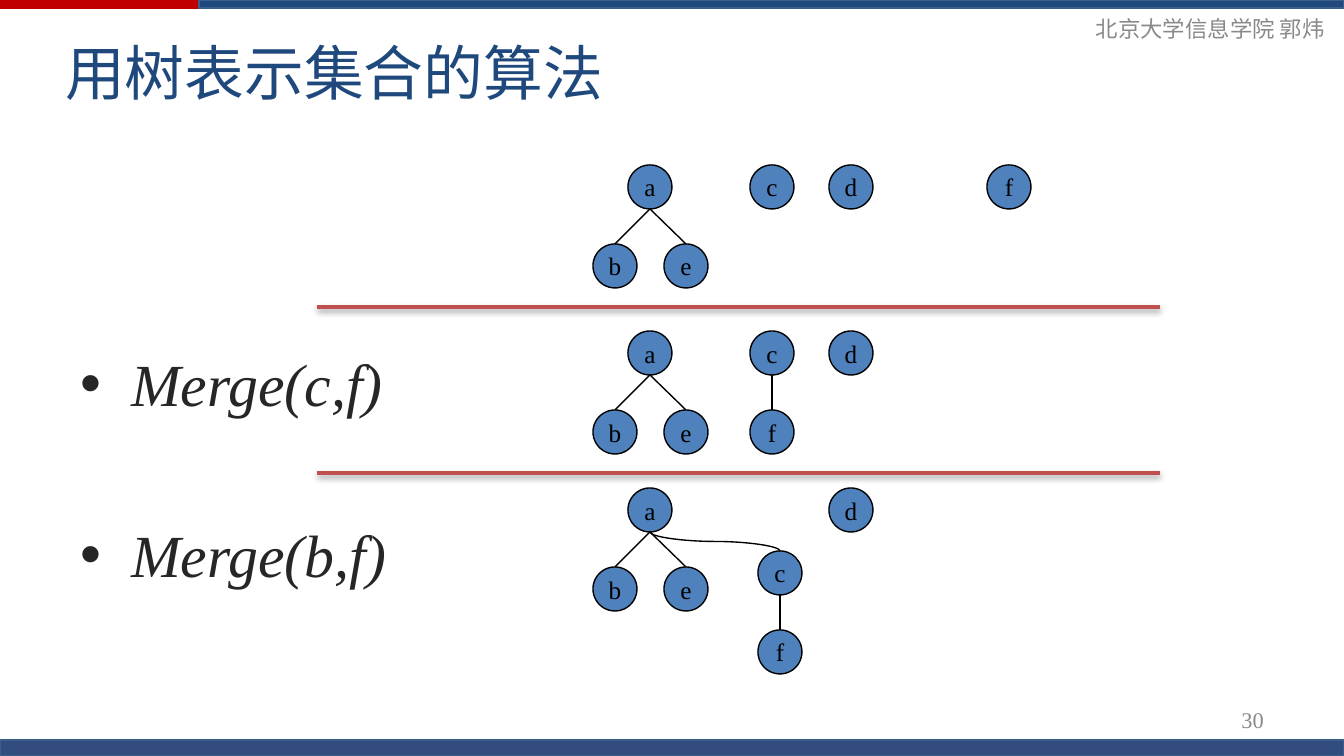
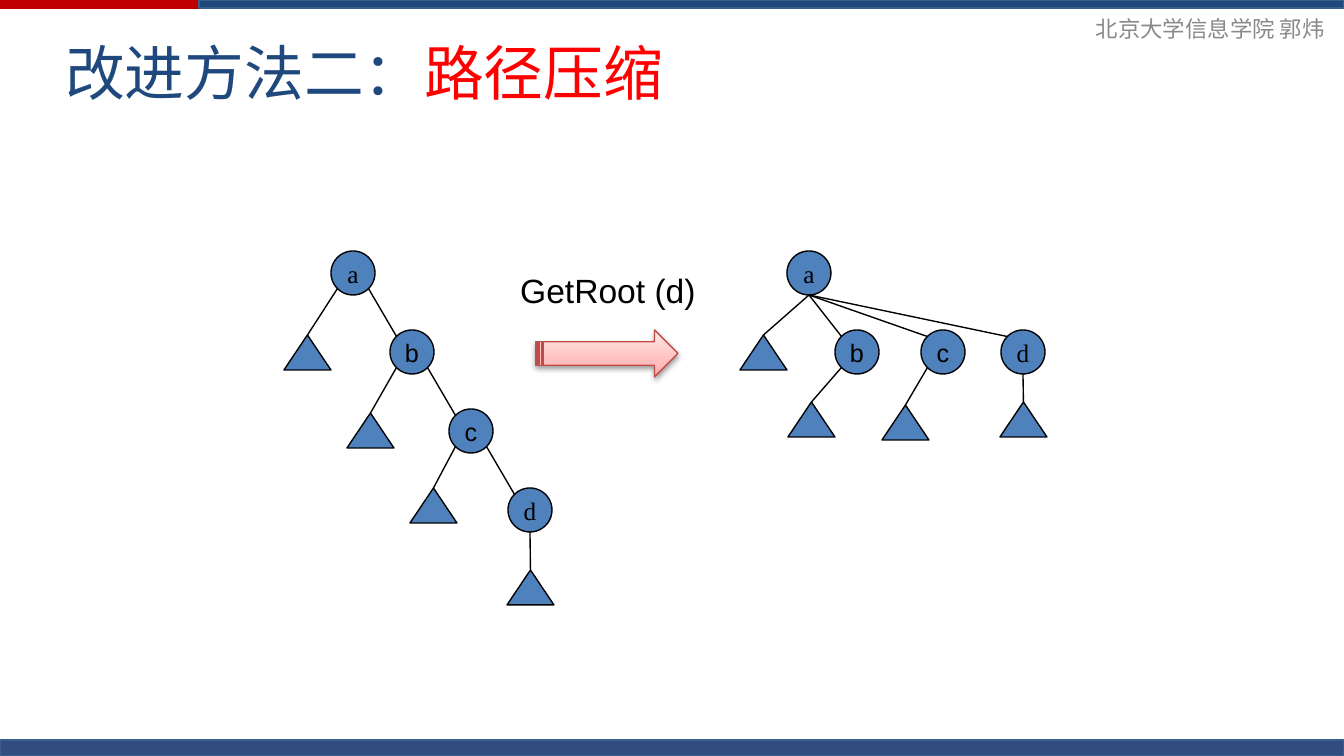
from copy import deepcopy

from lxml.etree import SubElement
from pptx import Presentation
from pptx.dml.color import RGBColor
from pptx.enum.shapes import MSO_CONNECTOR as LINK, MSO_SHAPE as SHAPE
from pptx.enum.text import MSO_ANCHOR as ANCHOR, MSO_AUTO_SIZE as AUTO, PP_ALIGN as ALIGN
from pptx.oxml.ns import qn
from pptx.util import Emu, Pt

SERIF, SANS = "Times New Roman", "Arial"
BLACK = RGBColor(0x00, 0x00, 0x00)
INK = RGBColor(0x26, 0x26, 0x26)
GREY = RGBColor(0x89, 0x89, 0x89)
NAVY = RGBColor(0x1F, 0x49, 0x7D)
DEEP_NAVY = RGBColor(0x00, 0x20, 0x60)
BAND_EDGE = RGBColor(0x3A, 0x5F, 0x8C)
DARK_RED = RGBColor(0xC0, 0x00, 0x00)
RED = RGBColor(0xFF, 0x00, 0x00)
NODE_BLUE = RGBColor(0x4F, 0x81, 0xBD)
DIVIDER_RED = RGBColor(0xC0, 0x50, 0x4D)
ARROW_EDGE = RGBColor(0xBF, 0x4C, 0x48)
ARROW_STOPS = [
    (0, RGBColor(0xFF, 0xA6, 0xA5)),
    (0.35, RGBColor(0xFF, 0xC0, 0xBF)),
    (1, RGBColor(0xFF, 0xE7, 0xE7)),
]

AUTHOR = "北京大学信息学院 郭炜"
MERGE_TITLE = [("用树表示集合的算法", NAVY)]
COMPRESSION_TITLE = [("改进方法二：", NAVY), ("路径压缩", RED)]
MERGES = ["Merge(c,f)", "Merge(b,f)"]
MERGE_PAGE = "30"
FIND_CALL = "GetRoot (d)"

NODE, LEAF = (44, 44), (47, 35)
LEVEL = 79
PORTS = {"N": (0.5, 0), "S": (0.5, 1), "NW": (0.15, 0.15), "SW": (0.15, 0.85), "SE": (0.85, 0.85)}

ROOT_X = {"a": 628, "c": 750, "d": 829, "f": 987}
CHILD_X = {"b": 593, "e": 664}
PAIR_EDGES = [("a", "S", "b", "N"), ("a", "S", "e", "N")]
MERGE_STAGES = [
    (165, "acdf", {}, []),
    (331, "acd", {"f": (750, LEVEL)}, [("c", "S", "f", "N")]),
    (488, "ad", {"c": (758, 63), "f": (758, 63 + LEVEL)}, [("c", "S", "f", "N")]),
]
DIVIDERS = [307, 473]

CHAIN = {name: (331 + 59 * i, 251 + LEVEL * i) for i, name in enumerate("abcd")}
CHAIN_LEAVES = {"a1": (284, 335), "b1": (347, 413), "c1": (410, 488), "d1": (507, 570)}
FLAT = {"a": (787, 251), "b": (835, 330), "c": (921, 330), "d": (1001, 330)}
FLAT_LEAVES = {"a1": (740, 335), "b1": (788, 402), "c1": (882, 405), "d1": (1000, 402)}
LOWER_LEAF_EDGES = [("b", "SW", "b1", "N"), ("c", "SW", "c1", "N"), ("d", "S", "d1", "N")]
CHAIN_EDGES = [("a", "SW", "a1", "N")] + [(p, "SE", c, "NW") for p, c in ("ab", "bc", "cd")]
FLAT_EDGES = [("a", "S", "a1", "N")] + [("a", "S", c, "NW") for c in "bcd"]


def px(length):
    return Emu(round(length * 914400 / 134.4))


def box(*lengths):
    return [px(length) for length in lengths]


def set_effect(part, shadow=False):
    effects = SubElement(part._element.spPr, qn("a:effectLst"))
    if shadow:
        outer = SubElement(effects, qn("a:outerShdw"), blurRad="40000", dist="20000",
                           dir="5400000", rotWithShape="0")
        tint = SubElement(outer, qn("a:srgbClr"), val="000000")
        SubElement(tint, qn("a:alpha"), val="38000")


def style_run(run, size, font, colour, italic=False):
    run.font.size = Pt(size)
    run.font.name = font
    run.font.color.rgb = colour
    run.font.italic = italic


def add_solid(slide, kind, place, fill, edge=None, width=0.75):
    solid = slide.shapes.add_shape(kind, *box(*place))
    solid.fill.solid()
    solid.fill.fore_color.rgb = fill
    if edge is None:
        solid.line.fill.background()
    else:
        solid.line.color.rgb = edge
        solid.line.width = Pt(width)
    set_effect(solid)
    return solid


def add_text(slide, place, pieces, size, font, align=ALIGN.LEFT, anchor=ANCHOR.MIDDLE):
    frame = slide.shapes.add_textbox(*box(*place)).text_frame
    frame.word_wrap = True
    frame.vertical_anchor = anchor
    line = frame.paragraphs[0]
    line.alignment = align
    for words, colour in pieces:
        run = line.add_run()
        run.text = words
        style_run(run, size, font, colour)
    return frame


def add_line(slide, start, end, colour=BLACK, width=0.75, kind=LINK.STRAIGHT, shadow=False):
    line = slide.shapes.add_connector(kind, *box(*start, *end))
    line.line.color.rgb = colour
    line.line.width = Pt(width)
    set_effect(line, shadow)
    return line


def add_drop_curve(slide, start, end):
    mid_x, mid_y = (start[0] + end[0]) / 2, (start[1] + end[1]) / 2
    half_w, half_h = (end[1] - start[1]) / 2, (end[0] - start[0]) / 2
    curve = add_line(slide, (mid_x - half_w, mid_y - half_h), (mid_x + half_w, mid_y + half_h),
                     kind=LINK.CURVE)
    turn = curve._element.spPr.find(qn("a:xfrm"))
    turn.set("rot", "16200000")
    turn.set("flipH", "1")


def port(place, size, side):
    return tuple(at + length * part for at, length, part in zip(place, size, PORTS[side]))


def draw_tree(slide, nodes, edges, leaves=None, sans_names=""):
    leaves = leaves or {}
    parts = {}
    for name, place in nodes.items():
        node = add_solid(slide, SHAPE.OVAL, place + NODE, NODE_BLUE, BLACK)
        frame = node.text_frame
        frame.margin_left = frame.margin_right = frame.margin_top = frame.margin_bottom = 0
        frame.text = name
        frame.paragraphs[0].alignment = ALIGN.CENTER
        style_run(frame.paragraphs[0].runs[0], 13.5, SANS if name in sans_names else SERIF, BLACK)
        parts[name] = (node, place, NODE)
    for name, place in leaves.items():
        leaf = add_solid(slide, SHAPE.ISOSCELES_TRIANGLE, place + LEAF, NODE_BLUE, BLACK)
        parts[name] = (leaf, place, LEAF)
    for parent, out_side, child, in_side in edges:
        target, place, size = parts[child]
        edge = add_line(slide, port(*parts[parent][1:], out_side), port(place, size, in_side))
        if in_side == "N":
            edge.end_connect(target, 0)


def start_slide(deck, title):
    slide = deck.slides.add_slide(deck.slide_layouts[6])
    add_solid(slide, SHAPE.RECTANGLE, (0, 0, 1344, 9), DARK_RED)
    add_solid(slide, SHAPE.RECTANGLE, (199, 0, 1145, 8), NAVY, BAND_EDGE, 0)
    footer = add_solid(slide, SHAPE.RECTANGLE, (0, 740, 1344, 16), DEEP_NAVY, BAND_EDGE, 0)
    tint = footer._element.spPr.find(qn("a:solidFill"))[0]
    SubElement(tint, qn("a:alpha"), val="80000")
    add_text(slide, (1025, 9, 313, 40), [(AUTHOR, GREY)], 12, SERIF, ALIGN.RIGHT)
    add_text(slide, (52, 13, 1228, 117), title, 32, SANS)
    return slide


def add_merge_list(slide):
    frame = add_text(slide, (67, 165, 1210, 509), [], 32, SERIF, anchor=ANCHOR.TOP)
    frame.margin_top = px(182)
    frame.text = "\n".join(MERGES)
    for i, line in enumerate(frame.paragraphs):
        if i:
            line.space_before = Pt(53)
        style_run(line.runs[0], 32, SERIF, INK, italic=True)
        layout = line._p.get_or_add_pPr()
        layout.set("marL", str(px(51)))
        layout.set("indent", str(px(-51)))
        SubElement(layout, qn("a:buFont"), typeface=SANS)
        SubElement(layout, qn("a:buChar"), char="•")


def build_merge_slide(deck):
    slide = start_slide(deck, MERGE_TITLE)
    add_merge_list(slide)
    for top, roots, moved, edges in MERGE_STAGES:
        nodes = {name: (ROOT_X[name], top) for name in roots}
        nodes.update({name: (x, top + LEVEL) for name, x in CHILD_X.items()})
        nodes.update({name: (x, top + drop) for name, (x, drop) in moved.items()})
        draw_tree(slide, nodes, PAIR_EDGES + edges)
        if "c" in moved:
            add_drop_curve(slide, port(nodes["a"], NODE, "S"), port(nodes["c"], NODE, "N"))
    for y in DIVIDERS:
        add_line(slide, (317, y), (1160, y), DIVIDER_RED, 2, shadow=True)
    add_text(slide, (964, 700, 313, 40), [(MERGE_PAGE, GREY)], 12, SERIF, ALIGN.RIGHT)


def add_result_arrow(slide):
    arrow = slide.shapes.add_shape(SHAPE.STRIPED_RIGHT_ARROW, *box(536, 330, 142, 47))
    arrow.fill.gradient()
    arrow.fill.gradient_angle = 90
    first_stop = next(arrow._element.spPr.iter(qn("a:gs")))
    first_stop.addnext(deepcopy(first_stop))
    for stop, (position, colour) in zip(arrow.fill.gradient_stops, ARROW_STOPS):
        stop.position = position
        stop.color.rgb = colour
    arrow.line.color.rgb = ARROW_EDGE
    arrow.line.width = Pt(0.75)
    set_effect(arrow, shadow=True)


def build_compression_slide(deck):
    slide = start_slide(deck, COMPRESSION_TITLE)
    draw_tree(slide, CHAIN, CHAIN_EDGES + LOWER_LEAF_EDGES, CHAIN_LEAVES, "bc")
    draw_tree(slide, FLAT, FLAT_EDGES + LOWER_LEAF_EDGES, FLAT_LEAVES, "bc")
    add_result_arrow(slide)
    call = add_text(slide, (507, 263, 273, 54), [(FIND_CALL, BLACK)], 18, SANS, anchor=ANCHOR.TOP)
    call.auto_size = AUTO.SHAPE_TO_FIT_TEXT


def main():
    deck = Presentation()
    deck.slide_width, deck.slide_height = px(1344), px(756)
    build_merge_slide(deck)
    build_compression_slide(deck)
    deck.save("out.pptx")


if __name__ == "__main__":
    main()
